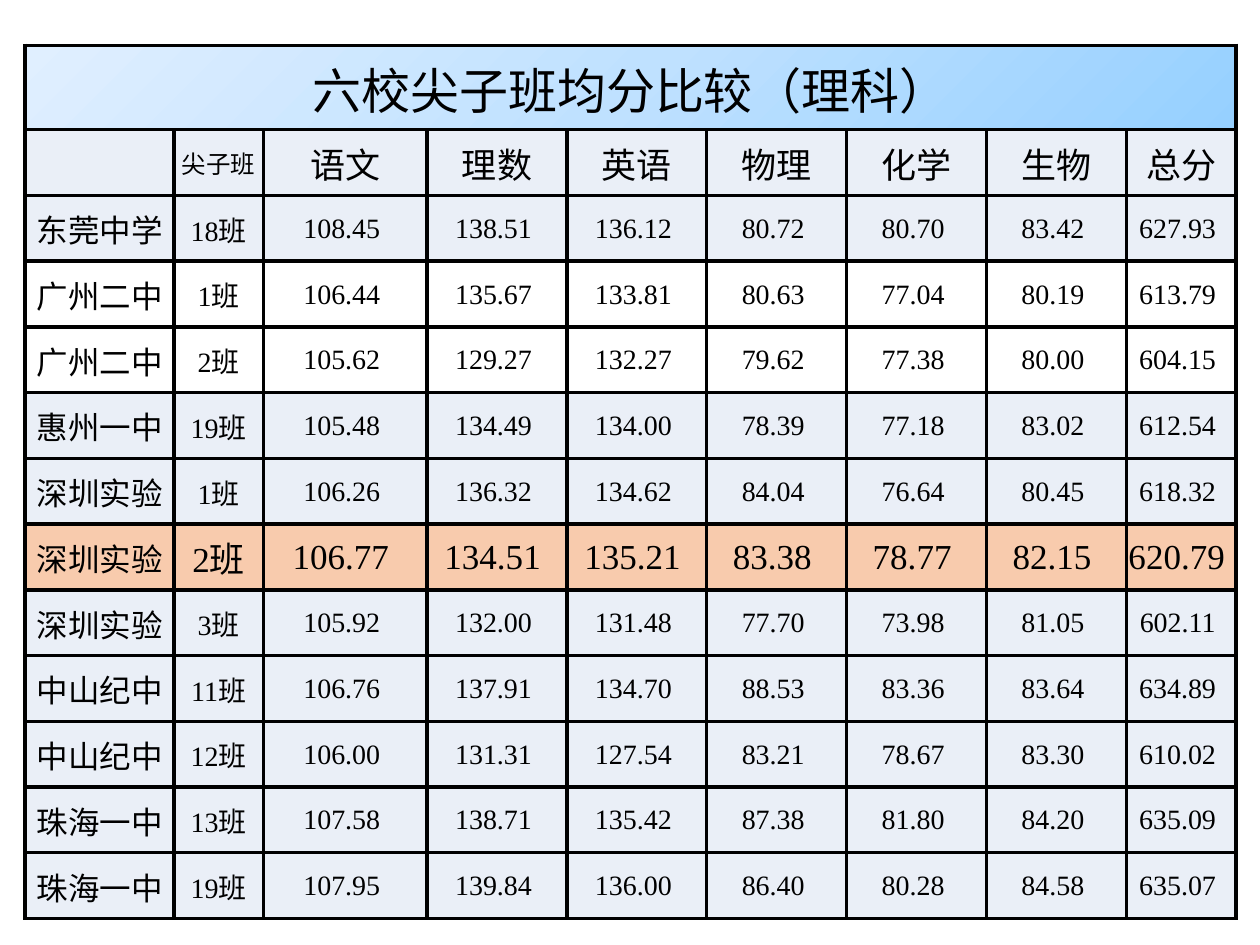
from pptx import Presentation
from pptx.dml.color import RGBColor
from pptx.enum.lang import MSO_LANGUAGE_ID
from pptx.enum.text import MSO_ANCHOR, PP_ALIGN
from pptx.oxml import parse_xml
from pptx.oxml.ns import nsdecls
from pptx.util import Inches, Pt

TITLE = "六校尖子班均分比较（理科）"
HEADS = ["", "尖子班", "语文", "理数", "英语", "物理", "化学", "生物", "总分"]
ROWS = """东莞中学 18班 108.45 138.51 136.12 80.72 80.70 83.42 627.93
广州二中 1班 106.44 135.67 133.81 80.63 77.04 80.19 613.79
广州二中 2班 105.62 129.27 132.27 79.62 77.38 80.00 604.15
惠州一中 19班 105.48 134.49 134.00 78.39 77.18 83.02 612.54
深圳实验 1班 106.26 136.32 134.62 84.04 76.64 80.45 618.32
深圳实验 2班 106.77 134.51 135.21 83.38 78.77 82.15 620.79
深圳实验 3班 105.92 132.00 131.48 77.70 73.98 81.05 602.11
中山纪中 11班 106.76 137.91 134.70 88.53 83.36 83.64 634.89
中山纪中 12班 106.00 131.31 127.54 83.21 78.67 83.30 610.02
珠海一中 13班 107.58 138.71 135.42 87.38 81.80 84.20 635.09
珠海一中 19班 107.95 139.84 136.00 86.40 80.28 84.58 635.07"""
WIDTHS = [1.18, 0.71, 1.3] + [1.11] * 5 + [0.87]
HEIGHTS = [0.67] + [0.522] * 12
PALE, PEACH, BLACK = "EAEFF7", "F8CBAD", "000000"
FADE = [(0, "96D0FF"), (50, "BFE1FF"), (100, "E0EFFF")]
SANS, SERIF, HAN = "Arial", "Times New Roman", "Noto Sans CJK SC"


def color(code):
    """Turn a hex string into a colour."""
    return RGBColor.from_string(code)


def frame(cell):
    """Draw a black line on each side of a cell."""
    props = cell._tc.get_or_add_tcPr()
    for side in "LRTB":
        props.append(parse_xml(
            f'<a:ln{side} {nsdecls("a")} w="{Pt(2.25)}"><a:solidFill>'
            f'<a:srgbClr val="{BLACK}"/></a:solidFill></a:ln{side}>'))


def paint(cell, code):
    """Fill a cell with one colour, or with none."""
    if code:
        cell.fill.solid()
        cell.fill.fore_color.rgb = color(code)
    else:
        cell.fill.background()


def fade(cell):
    """Fill a cell with the title gradient."""
    stops = "".join(
        f'<a:gs pos="{pos * 1000}"><a:srgbClr val="{code}"/></a:gs>'
        for pos, code in FADE)
    cell._tc.get_or_add_tcPr().append(parse_xml(
        f'<a:gradFill {nsdecls("a")}><a:gsLst>{stops}</a:gsLst>'
        f'<a:lin ang="{225 * 60000}" scaled="0"/></a:gradFill>'))


def write(cell, text, size, face):
    """Put centred text in a cell."""
    cell.margin_left = cell.margin_right = cell.margin_top = Inches(0.01)
    cell.margin_bottom = 0
    cell.vertical_anchor = MSO_ANCHOR.MIDDLE
    para = cell.text_frame.paragraphs[0]
    para.alignment = PP_ALIGN.CENTER
    if text:
        run = para.add_run()
        run.text = text
        font = run.font
        font.size, font.name = Pt(size), face
        font.color.rgb = color(BLACK)
        font.language_id = MSO_LANGUAGE_ID.SIMPLIFIED_CHINESE


def add_grid(slide):
    """Add the empty framed table."""
    table = slide.shapes.add_table(
        len(HEIGHTS), len(WIDTHS), Inches(0.2), Inches(0.36),
        Inches(sum(WIDTHS)), Inches(sum(HEIGHTS))).table
    table.first_row = table.horz_banding = False
    for col, width in zip(table.columns, WIDTHS):
        col.width = Inches(width)
    for row, height in zip(table.rows, HEIGHTS):
        row.height = Inches(height)
    for cell in table.iter_cells():
        frame(cell)
    return table


def add_heads(table):
    """Fill the title row and the row of subjects."""
    top = table.cell(0, 0)
    top.merge(table.cell(0, len(WIDTHS) - 1))
    write(top, TITLE, 28, SANS)
    fade(top)
    for col, text in enumerate(HEADS):
        cell = table.cell(1, col)
        write(cell, text, 14 if col == 1 else 20, HAN)
        paint(cell, PALE)


def add_scores(table):
    """Fill one row for each class."""
    for row, line in enumerate(ROWS.splitlines(), 2):
        school, group, *scores = line.split()
        main_row = (school, group) == ("深圳实验", "2班")
        size = 20 if main_row else 16
        code = PEACH if main_row else None if school == "广州二中" else PALE
        texts = [school, group] + [f"{score} " for score in scores]
        for col, text in enumerate(texts):
            cell = table.cell(row, col)
            write(cell, text, size if col else 18, SERIF if col else SANS)
            paint(cell, code)


def main():
    """Build and save the slide."""
    deck = Presentation()
    deck.slide_width, deck.slide_height = Inches(10), Inches(7.5)
    slide = deck.slides.add_slide(deck.slide_layouts[6])
    table = add_grid(slide)
    add_heads(table)
    add_scores(table)
    deck.save("out.pptx")


if __name__ == "__main__":
    main()
